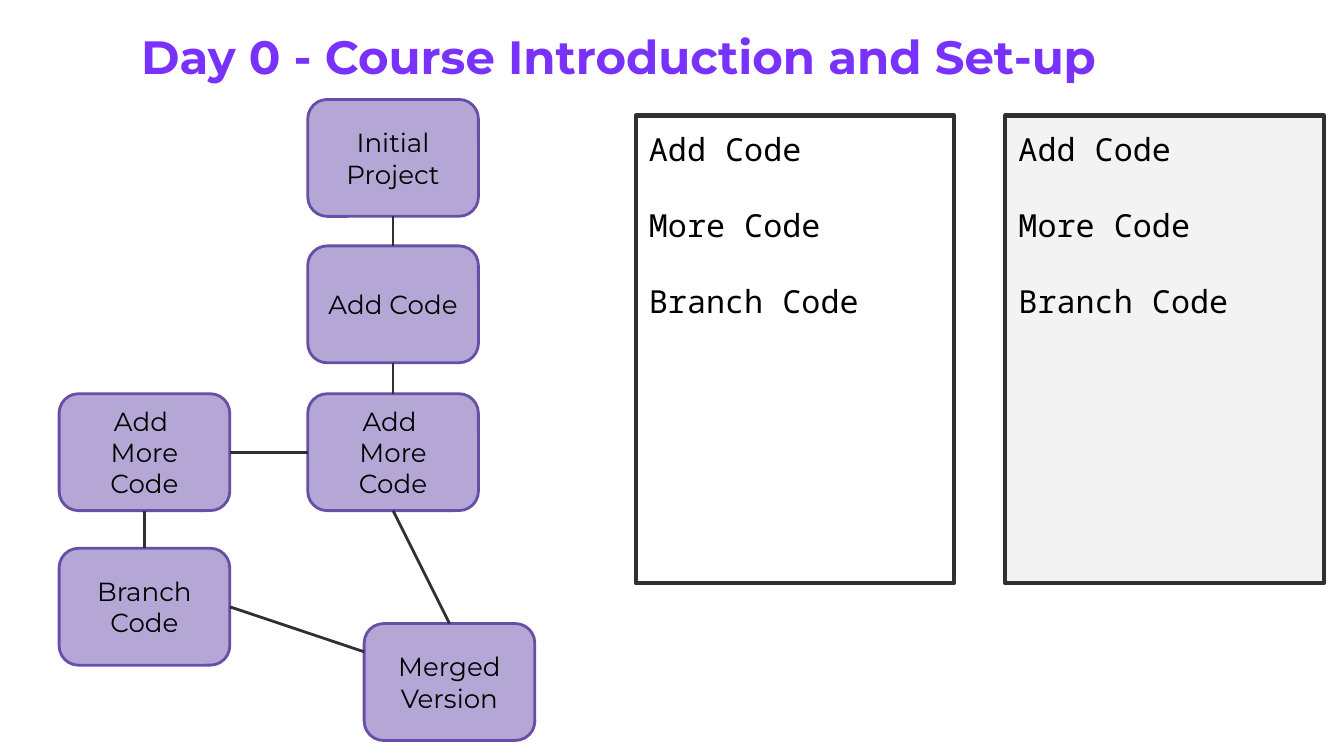
from lxml.etree import SubElement
from pptx import Presentation
from pptx.dml.color import RGBColor
from pptx.enum.shapes import MSO_CONNECTOR, MSO_SHAPE
from pptx.enum.text import MSO_ANCHOR, MSO_AUTO_SIZE, PP_ALIGN
from pptx.oxml.ns import qn
from pptx.util import Inches, Pt

VIOLET = RGBColor(0x79, 0x32, 0xFC)
LILAC = RGBColor(0xB4, 0xA7, 0xD6)
PURPLE = RGBColor(0x67, 0x4E, 0xA7)
DARK = RGBColor(0x30, 0x30, 0x30)
GRAY = RGBColor(0xF3, 0xF3, 0xF3)
WHITE = RGBColor(0xFF, 0xFF, 0xFF)
BLACK = RGBColor(0, 0, 0)

SANS = "Montserrat"
MONO = "Noto Sans Mono"
NODE_W, NODE_H = 1.27, 0.87
TOP, LEFT, BOTTOM, RIGHT = range(4)

MAIN_X, SIDE_X = 2.29, 0.44
NODES = {
    "start": (MAIN_X, 0.74, ["Initial", "Project"]),
    "add": (MAIN_X, 1.83, ["Add Code"]),
    "more": (MAIN_X, 2.93, ["Add ", "More Code"]),
    "side": (SIDE_X, 2.93, ["Add ", "More Code"]),
    "branch": (SIDE_X, 4.08, ["Branch", "Code"]),
    "merge": (2.71, 4.64, ["Merged", "Version"]),
}
LINKS = [
    ("start", BOTTOM, "add", TOP),
    ("add", BOTTOM, "more", TOP),
    ("side", RIGHT, "more", LEFT),
    ("side", BOTTOM, "branch", TOP),
    ("more", BOTTOM, "merge", TOP),
]
CODE = ["Add Code", "More Code", "Branch Code"]


def set_text(shape, lines, font, size, color, anchor, align, bold=False):
    """Fill a shape with one paragraph per line and return its frame."""
    frame = shape.text_frame
    frame.word_wrap = True
    frame.auto_size = MSO_AUTO_SIZE.NONE
    frame.vertical_anchor = anchor
    frame.margin_left = frame.margin_right = Inches(0.1)
    frame.margin_top = frame.margin_bottom = Inches(0.1)
    for i, line in enumerate(lines):
        para = frame.paragraphs[0] if i == 0 else frame.add_paragraph()
        para.alignment = align
        run = para.add_run()
        run.text = line
        run.font.name = font
        run.font.size = Pt(size)
        run.font.bold = bold
        run.font.color.rgb = color
    return frame


def add_box(slide, kind, box, fill, line, width):
    """Add a filled and outlined shape without a shadow."""
    shape = slide.shapes.add_shape(kind, *map(Inches, box))
    shape.shadow.inherit = False
    shape.fill.solid()
    shape.fill.fore_color.rgb = fill
    shape.line.color.rgb = line
    shape.line.width = Pt(width)
    return shape


def add_title(slide, text):
    """Place and format the title."""
    title = slide.shapes.title
    title.left, title.top = Inches(0.95), Inches(0.11)
    title.width, title.height = Inches(8.6), Inches(0.62)
    set_text(title, [text], SANS, 25, VIOLET, MSO_ANCHOR.TOP,
             PP_ALIGN.LEFT, bold=True)


def add_node(slide, left, top, lines):
    """Add a rounded step of the flow."""
    node = add_box(slide, MSO_SHAPE.ROUNDED_RECTANGLE,
                   (left, top, NODE_W, NODE_H), LILAC, PURPLE, 1.5)
    set_text(node, lines, SANS, 14, BLACK, MSO_ANCHOR.MIDDLE,
             PP_ALIGN.CENTER)
    return node


def add_panel(slide, left, fill):
    """Add a panel that lists the code."""
    panel = add_box(slide, MSO_SHAPE.RECTANGLE, (left, 0.86, 2.37, 3.48),
                    fill, DARK, 2.25)
    frame = set_text(panel, CODE, MONO, 17, BLACK, MSO_ANCHOR.TOP,
                     PP_ALIGN.LEFT)
    for i, para in enumerate(frame.paragraphs):
        para.line_spacing = Pt(20.9)
        para.space_before = Pt(19.8 if i else 0)


def add_line(slide, start=(0, 0), end=(0, 0)):
    """Add a plain dark line."""
    line = slide.shapes.add_connector(
        MSO_CONNECTOR.STRAIGHT, *map(Inches, start + end))
    line.line.color.rgb = DARK
    line.line.width = Pt(1.5)
    SubElement(line._element.spPr, qn("a:effectLst"))
    return line


def main():
    """Build the slide and save it."""
    deck = Presentation()
    deck.slide_width = Inches(10)
    deck.slide_height = deck.slide_width * 9 // 16
    slide = deck.slides.add_slide(deck.slide_layouts[5])
    add_title(slide, "Day 0 - Course Introduction and Set-up")

    nodes = {key: add_node(slide, *node) for key, node in NODES.items()}
    for head, exit_side, tail, entry_side in LINKS:
        line = add_line(slide)
        line.begin_connect(nodes[head], exit_side)
        line.end_connect(nodes[tail], entry_side)
    merge_line = add_line(slide, (1.71, 4.52), (2.71, 4.85))
    merge_line.begin_connect(nodes["branch"], RIGHT)

    for left, fill in ((4.73, WHITE), (7.48, GRAY)):
        add_panel(slide, left, fill)
    deck.save("out.pptx")


main()
